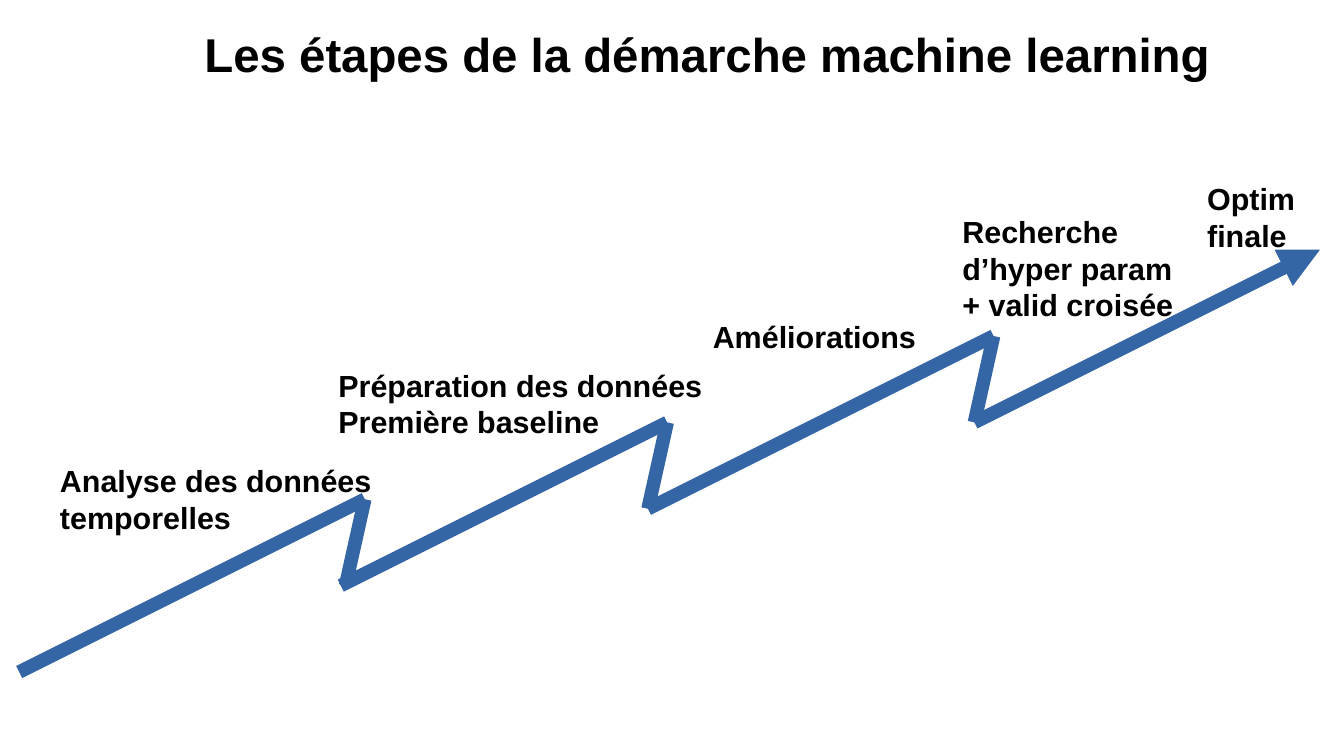
from dataclasses import dataclass

import pptx
import pptx.dml.color
import pptx.enum.shapes
import pptx.enum.text
import pptx.oxml
import pptx.oxml.ns
import pptx.util
from pptx.util import Cm, Pt


@dataclass(frozen=True)
class Theme:
    font: str = "Arial"
    text: str = "000000"
    path_line: str = "3465A4"
    title_size: int = 28
    label_size: int = 18
    line_width: int = 8


TITLE_ONLY = 5
DROP_BACK, DROP_DOWN = 0.4, 1.8

# Start and peak of each climb, in centimetres
CLIMBS = [
    ((0.4, 14.0), (7.6, 10.4)),
    ((7.1, 12.2), (13.9, 8.8)),
    ((13.5, 10.6), (20.7, 7.0)),
    ((20.3, 8.8), (27.5, 5.2)),
]

# Left, top, width, height in centimetres, then the lines of text
STEPS = [
    (1.0, 9.5, 7.4, 2.4, ["Analyse des données", "temporelles"]),
    (6.8, 7.52, 9.6, 2.4, ["Préparation des données", "Première baseline"]),
    (14.6, 6.5, 5.4, 2.0, ["Améliorations"]),
    (19.8, 4.32, 5.4, 2.4, ["Recherche d’hyper param", "+ valid croisée"]),
    (24.9, 3.63, 3.0, 1.68, ["Optim finale"]),
]


class SlideBuilder:
    def __init__(self, slide, theme):
        self.slide = slide
        self.theme = theme

    def style(self, paragraph, size):
        font = paragraph.font
        font.name = self.theme.font
        font.size = Pt(size)
        font.bold = True
        font.color.rgb = pptx.dml.color.RGBColor.from_string(self.theme.text)

    def title(self, text, left, top, width, height):
        shape = self.slide.shapes.title
        shape.left, shape.top = Cm(left), Cm(top)
        shape.width, shape.height = Cm(width), Cm(height)
        frame = shape.text_frame
        frame.text = text
        frame.word_wrap = False
        frame.auto_size = pptx.enum.text.MSO_AUTO_SIZE.NONE
        frame.vertical_anchor = pptx.enum.text.MSO_ANCHOR.TOP
        paragraph = frame.paragraphs[0]
        paragraph.alignment = pptx.enum.text.PP_ALIGN.CENTER
        self.style(paragraph, self.theme.title_size)

    def label(self, left, top, width, height, lines):
        box = self.slide.shapes.add_textbox(Cm(left), Cm(top), Cm(width), Cm(height))
        frame = box.text_frame
        frame.word_wrap = True
        frame.text = "\n".join(lines)
        for paragraph in frame.paragraphs:
            self.style(paragraph, self.theme.label_size)

    def line(self, start, end, arrow=False):
        connector = self.slide.shapes.add_connector(
            pptx.enum.shapes.MSO_CONNECTOR.STRAIGHT, *map(Cm, start + end))
        connector.line.width = Pt(self.theme.line_width)
        connector.line.color.rgb = pptx.dml.color.RGBColor.from_string(self.theme.path_line)
        if arrow:
            head = pptx.oxml.parse_xml(
                f'<a:tailEnd {pptx.oxml.ns.nsdecls("a")} type="triangle"/>')
            connector.line._get_or_add_ln().append(head)
        connector._element.spPr.append(
            pptx.oxml.parse_xml(f'<a:effectLst {pptx.oxml.ns.nsdecls("a")}/>'))


def main():
    presentation = pptx.Presentation()
    presentation.slide_width, presentation.slide_height = Cm(28), Cm(15.75)
    slide = presentation.slides.add_slide(presentation.slide_layouts[TITLE_ONLY])
    builder = SlideBuilder(slide, Theme())

    builder.title("Les étapes de la démarche machine learning", 4.0, 0.4, 21.46, 1.35)
    for start, peak in CLIMBS:
        builder.line(start, peak, arrow=peak == CLIMBS[-1][1])
    for _, (x, y) in CLIMBS[:-1]:
        builder.line((x - DROP_BACK, y + DROP_DOWN), (x, y))
    for step in STEPS:
        builder.label(*step)

    presentation.save("out.pptx")


if __name__ == "__main__":
    main()
